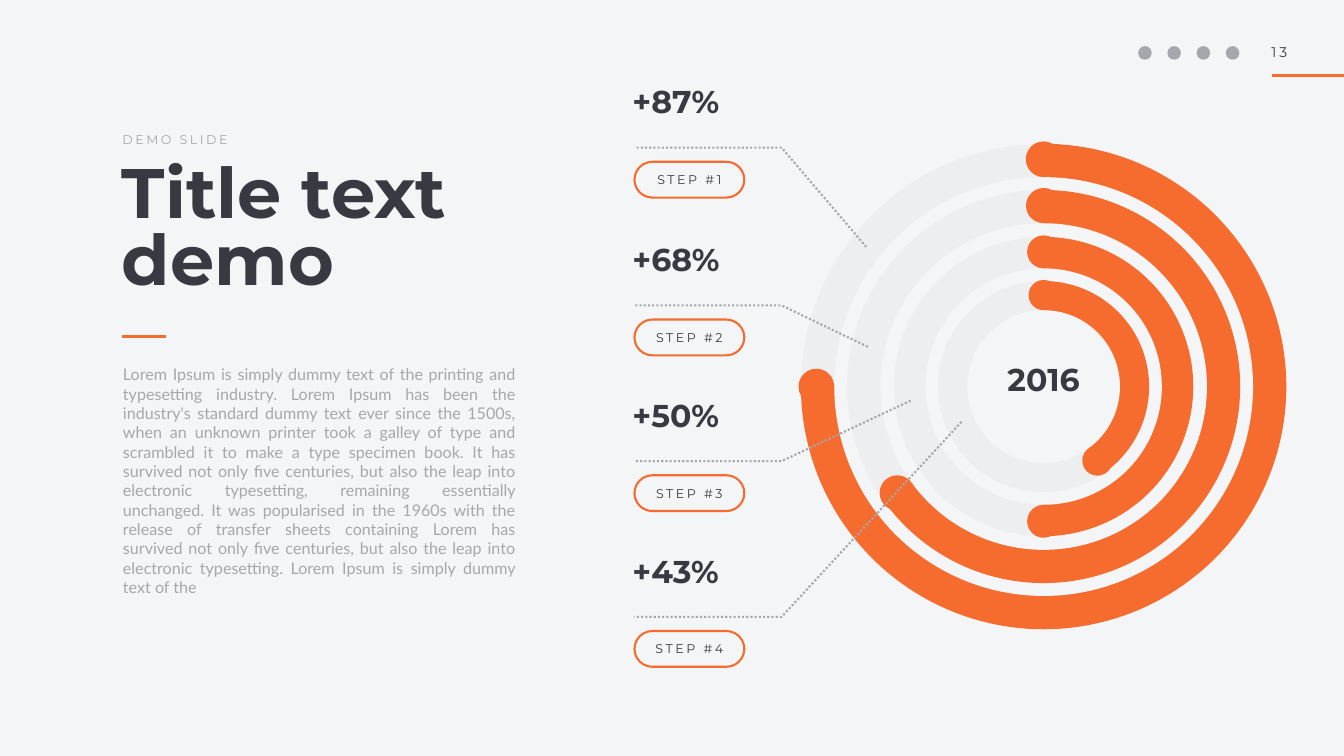
from math import cos, radians, sin

from lxml import etree
from pptx import Presentation
from pptx.chart.data import CategoryChartData
from pptx.dml.color import RGBColor
from pptx.enum.chart import XL_CHART_TYPE
from pptx.enum.dml import MSO_LINE
from pptx.enum.shapes import MSO_CONNECTOR, MSO_SHAPE
from pptx.enum.text import MSO_ANCHOR, MSO_AUTO_SIZE, PP_ALIGN
from pptx.oxml.ns import qn
from pptx.util import Inches, Pt

PIE = XL_CHART_TYPE.PIE
DOTTED = MSO_LINE.ROUND_DOT
STRAIGHT = MSO_CONNECTOR.STRAIGHT
OVAL, PILL = MSO_SHAPE.OVAL, MSO_SHAPE.ROUNDED_RECTANGLE
TOP, MIDDLE = MSO_ANCHOR.TOP, MSO_ANCHOR.MIDDLE
FIXED = MSO_AUTO_SIZE.NONE
LEFT, CENTER, JUSTIFY = PP_ALIGN.LEFT, PP_ALIGN.CENTER, PP_ALIGN.JUSTIFY

PAPER = RGBColor(0xF4, 0xF5, 0xF7)
ORANGE = RGBColor(0xF5, 0x6C, 0x2E)
TRACK = RGBColor(0xED, 0xEE, 0xF0)
GREY = RGBColor(0xA6, 0xA7, 0xAC)
DARK = RGBColor(0x39, 0x39, 0x41)

BODY = (
    "Lorem Ipsum is simply dummy text of the printing and typesetting industry. "
    "Lorem Ipsum has been the industry's standard dummy text ever since the 1500s, "
    "when an unknown printer took a galley of type and scrambled it to make a type "
    "specimen book. It has survived not only five centuries, but also the leap into "
    "electronic typesetting, remaining essentially unchanged. It was popularised in "
    "the 1960s with the release of transfer sheets containing Lorem has survived not "
    "only five centuries, but also the leap into electronic typesetting. Lorem Ipsum "
    "is simply dummy text of the"
)


def write(shape, words, size, color=DARK, bold=False, align=LEFT,
          face="Montserrat", track=0, lead=1.0, anchor=TOP):
    """Put one styled paragraph in a shape; track is letter spacing in points."""
    frame = shape.text_frame
    frame.word_wrap = True
    frame.auto_size = FIXED
    frame.vertical_anchor = anchor
    frame.margin_left = frame.margin_right = Inches(0.04)
    frame.margin_top = frame.margin_bottom = Inches(0.04)
    frame.text = words
    para = frame.paragraphs[0]
    para.alignment = align
    para.line_spacing = lead
    para.space_before = Pt(0)
    props = para._p.get_or_add_pPr()
    props.set("marL", "0")
    props.set("indent", "0")
    etree.SubElement(props, qn("a:buNone"))
    font = para.font
    font.name, font.size, font.bold = face, Pt(size), bold
    font.color.rgb = color
    if track:
        props.find(qn("a:defRPr")).set("spc", str(round(track * 100)))


def disc(x, y, size, color):
    """Draw a plain circle centred on x, y."""
    shape = slide.shapes.add_shape(OVAL, Inches(x - size / 2), Inches(y - size / 2),
                                   Inches(size), Inches(size))
    shape.shadow.inherit = False
    shape.fill.solid()
    shape.fill.fore_color.rgb = color
    shape.line.fill.background()


deck = Presentation()
deck.slide_width, deck.slide_height = Inches(26.67), Inches(15)
slide = deck.slides.add_slide(deck.slide_layouts[1])
slide.background.fill.solid()
slide.background.fill.fore_color.rgb = PAPER

# Title and body
title, body = slide.placeholders
title.left, title.top = Inches(2.38), Inches(3.22)
title.width, title.height = Inches(7.81), Inches(3)
write(title, "Title text demo", 100, bold=True, lead=0.8)
body.left, body.top = Inches(2.4), Inches(7.2)
body.width, body.height = Inches(7.88), Inches(4.98)
write(body, BODY, 23, GREY, align=JUSTIFY, face="Lato")

# Header marks and accent rules
for i in range(4):
    disc(22.72 + 0.58 * i, 1.05, 0.27, GREY)
for start, end, y in [(25.24, 26.67, 1.5), (2.42, 3.3, 6.67)]:
    rule = slide.shapes.add_connector(STRAIGHT, Inches(start), Inches(y),
                                      Inches(end), Inches(y))
    rule.line.color.rgb = ORANGE
    rule.line.width = Pt(4)
    etree.SubElement(rule._element.spPr, qn("a:effectLst"))

# Rings: a pie with a disc over its middle, and round caps on the arc
MID_X, MID_Y = 20.71, 7.67
RINGS = [(9.73, 8.31, 75), (7.88, 6.48, 65), (6, 4.69, 50), (4.23, 3.03, 40)]
for outer, inner, share in RINGS:
    data = CategoryChartData()
    data.categories = ["1", "2"]
    data.add_series("Series 1", [share, 100 - share])
    chart = slide.shapes.add_chart(
        PIE, Inches(MID_X - outer / 2), Inches(MID_Y - outer / 2),
        Inches(outer), Inches(outer), data).chart
    chart.has_title = chart.has_legend = False
    chart.font.name, chart.font.size = "Montserrat", Pt(10)
    chart.font.color.rgb = GREY
    plot = chart.plots[0]
    plot.vary_by_categories = False
    for i, color in enumerate([ORANGE, TRACK]):
        wedge = plot.series[0].points[i].format
        wedge.fill.solid()
        wedge.fill.fore_color.rgb = color
        wedge.line.fill.background()
    area = chart._chartSpace.chart.plotArea
    for old in area.findall(qn("c:layout")):
        area.remove(old)
    layout = etree.Element(qn("c:layout"))
    area.insert(0, layout)
    manual = etree.SubElement(layout, qn("c:manualLayout"))
    for tag, val in [("layoutTarget", "inner"), ("xMode", "edge"), ("yMode", "edge"),
                     ("x", "0.005"), ("y", "0.005"), ("w", "0.99"), ("h", "0.99")]:
        etree.SubElement(manual, qn("c:" + tag)).set("val", val)
    disc(MID_X, MID_Y, inner, PAPER)

for outer, inner, share in RINGS:
    radius = (outer + inner) / 4
    for turn in (0, radians(3.6 * share)):
        disc(MID_X + radius * sin(turn), MID_Y - radius * cos(turn),
             (outer - inner) / 2, ORANGE)

# Steps: rate, dotted leader to its ring, and pill
STEPS = [
    ("+87%", 2.93, 17.19, 4.9),
    ("+68%", 6.06, 17.22, 6.88),
    ("+50%", 9.15, 18.07, 7.95),
    ("+43%", 12.24, 19.08, 8.37),
]
LABELS = [
    ("13", 25.19, 0.83, 0.66, 0.42, dict(size=20, track=4)),
    ("DEMO SLIDE", 2.39, 2.58, 4.24, 0.39,
     dict(size=18, color=GREY, track=3.6, anchor=MIDDLE)),
    ("2016", 19.18, 7.25, 3.06, 1.26,
     dict(size=45, bold=True, align=CENTER, lead=0.8)),
]
for i, (rate, y, tip_x, tip_y) in enumerate(STEPS, 1):
    pen = slide.shapes.build_freeform(Inches(tip_x), Inches(tip_y))
    pen.add_line_segments([(Inches(15.51), Inches(y)), (Inches(12.59), Inches(y))],
                          close=False)
    leader = pen.convert_to_shape()
    leader.shadow.inherit = False
    leader.fill.background()
    leader.line.color.rgb = GREY
    leader.line.width = Pt(3)
    leader.line.dash_style = DOTTED

    pill = slide.shapes.add_shape(PILL, Inches(12.59), Inches(y + 0.28),
                                  Inches(2.18), Inches(0.71))
    pill.adjustments[0] = 0.5
    pill.shadow.inherit = False
    pill.fill.background()
    pill.line.color.rgb = ORANGE
    pill.line.width = Pt(3)
    write(pill, f"STEP #{i}", 18, align=CENTER, track=3.6, anchor=MIDDLE)
    LABELS.append((rate, 12.51, y - 1.19, 3.46, 1.25,
                   dict(size=45, bold=True, lead=0.8)))

for words, x, y, width, height, style in LABELS:
    box = slide.shapes.add_textbox(Inches(x), Inches(y), Inches(width), Inches(height))
    write(box, words, **style)

deck.save("out.pptx")
